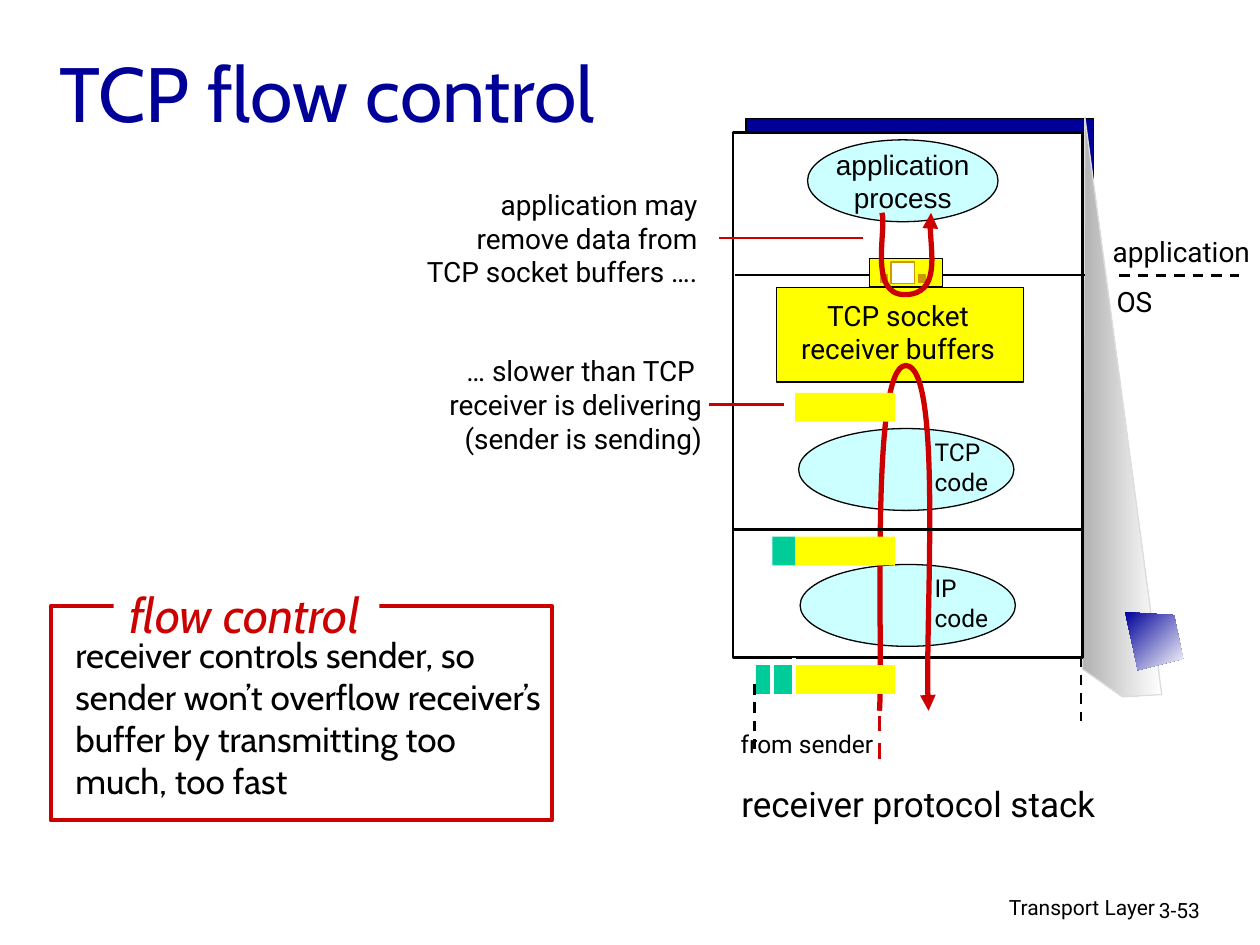
import pptx
import pptx.dml.color
import pptx.enum.dml
import pptx.enum.shapes
import pptx.enum.text
import pptx.oxml
import pptx.oxml.ns
import pptx.util

Cm = pptx.util.Cm
Pt = pptx.util.Pt
RGBColor = pptx.dml.color.RGBColor
RECTANGLE = pptx.enum.shapes.MSO_SHAPE.RECTANGLE
OVAL = pptx.enum.shapes.MSO_SHAPE.OVAL
LEFT = pptx.enum.text.PP_ALIGN.LEFT
CENTER = pptx.enum.text.PP_ALIGN.CENTER
RIGHT = pptx.enum.text.PP_ALIGN.RIGHT

NAVY = RGBColor(0x00, 0x00, 0x99)
RED = RGBColor(0xCC, 0x00, 0x00)
YELLOW = RGBColor(0xFF, 0xFF, 0x00)
GREEN = RGBColor(0x00, 0xCC, 0x99)
CYAN = RGBColor(0xCC, 0xFF, 0xFF)
GOLD = RGBColor(0xCC, 0x99, 0x00)
GREY = RGBColor(0xB2, 0xB2, 0xB2)
PALE_GREY = RGBColor(0xDD, 0xDD, 0xDD)
BLACK = RGBColor(0x00, 0x00, 0x00)
WHITE = RGBColor(0xFF, 0xFF, 0xFF)

TITLE = "TCP flow control"
APPLICATION = (OVAL, (16.28, 2.82, 3.84, 1.65), CYAN, BLACK, 0.75)
BACK_PANEL = (RECTANGLE, (15.04, 2.39, 7.01, 10.72), NAVY, BLACK, 0.75)
STACK = [
    (RECTANGLE, (14.78, 2.67, 7.04, 10.59), WHITE, BLACK, 1.5),
    (RECTANGLE, (15.65, 5.79, 4.98, 1.91), YELLOW, BLACK, 0.75),
    (OVAL, (16.1, 8.64, 4.34, 1.65), CYAN, BLACK, 0.75),
    (OVAL, (16.13, 11.38, 4.34, 1.65), CYAN, BLACK, 0.75),
]
SOCKET_DOOR = [
    (RECTANGLE, (17.53, 5.21, 1.47, 0.58), YELLOW, BLACK, 0.75),
    (RECTANGLE, (17.96, 5.28, 0.48, 0.43), WHITE, GOLD, 0.75),
    (RECTANGLE, (18.52, 5.54, 0.13, 0.15), GOLD, GOLD, 0.75),
    (RECTANGLE, (17.75, 5.54, 0.13, 0.15), GOLD, GOLD, 0.75),
]
CALLOUT = [
    (RECTANGLE, (1.02, 12.22, 10.11, 4.32), WHITE, RED, 2.25),
    (RECTANGLE, (2.29, 11.91, 5.36, 0.99), WHITE, None, 0),
]

PAYLOAD_LEFT, PAYLOAD_WIDTH, PACKET_HEIGHT = 16.03, 2.01, 0.58
PACKETS = [(7.92, 0), (10.82, 0.46), (13.41, 0.79)]

DIVIDERS = [
    ((14.78, 10.67), (21.84, 10.67), BLACK, 1.5, False),
    ((14.81, 5.54), (21.87, 5.54), BLACK, 1.5, False),
]
LINES = [
    ((15.57, 13.41), (15.57, 13.99), WHITE, 2.25, False),
    ((16, 13.26), (16, 13.99), WHITE, 2.25, False),
    ((22.56, 5.56), (24.97, 5.56), BLACK, 1.5, True),
    ((14.5, 4.8), (17.4, 4.8), RED, 1.5, False),
    ((14.3, 8.15), (15.8, 8.15), RED, 1.5, False),
    ((17.73, 14.43), (17.73, 15.39), RED, 2.25, True),
    ((15.21, 13.79), (15.21, 15.09), BLACK, 1.5, True),
    ((21.79, 13.23), (21.79, 14.53), BLACK, 1.5, True),
]

PANEL_SHADOW = [(23.42, 14), (21.87, 2.36), (21.82, 13.49), (22.63, 14.05)]
CUBE = [(22.68, 12.34), (23.67, 12.4), (23.85, 13.28), (22.94, 13.51)]
SENDER_PATH = [(17.73, 14.33), (17.81, 13.16), (17.53, 7.37), (18.26, 7.37),
               (19, 7.37), (18.62, 12.88), (18.72, 14.33)]
READ_PATH = [(17.78, 4.29), (17.88, 4.62), (17.5, 5.94), (18.24, 5.94),
             (18.97, 5.94), (18.69, 4.57), (18.77, 4.29)]

LABELS = [
    (["Transport Layer"], (15.49, 17.91, 8.05, 0.79), 12, RIGHT, True),
    (["3-53"], (23.11, 17.96, 1.88, 0.76), 12, LEFT, True),
    (["TCP socket", "receiver buffers"], (15.77, 5.89, 4.67, 1.63), 16, CENTER, False),
    (["TCP", "code"], (18.59, 8.69, 1.63, 1.45), 14, LEFT, False),
    (["IP", "code"], (18.59, 11.43, 1.63, 1.45), 14, LEFT, False),
    (["application"], (22.1, 4.6, 3.43, 0.94), 16, CENTER, False),
    (["OS"], (22.25, 5.61, 1.24, 0.94), 16, CENTER, False),
    (["receiver protocol stack"], (14.5, 15.65, 8.03, 1.12), 20, CENTER, False),
    (["application may ", "remove data from ", "TCP socket buffers …. "],
     (5.59, 3.66, 8.86, 2.29), 16, RIGHT, True),
    (["… slower than TCP ", "receiver is delivering", "(sender is sending)"],
     (8.61, 7.01, 5.79, 2.97), 16, RIGHT, True),
    (["from sender"], (14.58, 14.58, 3.38, 0.86), 14, CENTER, False),
]
CALLOUT_HEADING = (["flow control"], (2.08, 11.66, 5.69, 1.45), 28, CENTER, False)
CALLOUT_BODY = (["receiver controls sender, so sender won’t overflow receiver’s "
                 "buffer by transmitting too much, too fast"],
                (1.27, 12.65, 9.98, 4.5), 20, LEFT, True)


def write(frame, texts, size, align, font="Roboto", color=BLACK, italic=False):
    frame.text = "\n".join(texts)
    for paragraph in frame.paragraphs:
        paragraph.alignment = align
        paragraph.font.size = Pt(size)
        paragraph.font.name = font
        paragraph.font.color.rgb = color
        paragraph.font.italic = italic


def add_label(slide, texts, box, size, align, wrap, **style):
    frame = slide.shapes.add_textbox(*map(Cm, box)).text_frame
    frame.word_wrap = wrap
    write(frame, texts, size, align, **style)


def outline(line, color, width):
    if color is None:
        line.fill.background()
    else:
        line.color.rgb = color
        line.width = Pt(width)


def add_block(slide, kind, box, fill, line_color, width):
    shape = slide.shapes.add_shape(kind, *map(Cm, box))
    shape.shadow.inherit = False
    shape.fill.solid()
    shape.fill.fore_color.rgb = fill
    outline(shape.line, line_color, width)
    return shape


def add_line(slide, start, end, color, width, dashed):
    connector = slide.shapes.add_connector(
        pptx.enum.shapes.MSO_CONNECTOR.STRAIGHT, *map(Cm, start + end))
    outline(connector.line, color, width)
    if dashed:
        connector.line.dash_style = pptx.enum.dml.MSO_LINE.DASH
    pptx.oxml.ns.qn("a:effectLst")
    connector._element.spPr.append(
        pptx.oxml.parse_xml(f'<a:effectLst {pptx.oxml.ns.nsdecls("a")}/>'))


def add_freeform(slide, points, close):
    corners = [(Cm(x), Cm(y)) for x, y in points]
    builder = slide.shapes.build_freeform(*corners[0])
    builder.add_line_segments(corners[1:], close=close)
    shape = builder.convert_to_shape()
    shape.shadow.inherit = False
    return shape


def add_gradient(slide, points, start_color, angle, line_color):
    shape = add_freeform(slide, points, True)
    shape.fill.gradient()
    shape.fill.gradient_angle = angle
    for stop, color in zip(shape.fill.gradient_stops, (start_color, WHITE)):
        stop.color.rgb = color
    outline(shape.line, line_color, 0.75)


def add_curved_arrow(slide, points):
    shape = add_freeform(slide, points, False)
    shape.fill.background()
    outline(shape.line, RED, 3)
    namespace = pptx.oxml.ns.nsdecls("a")
    segments = list(shape._element.iter(pptx.oxml.ns.qn("a:lnTo")))
    for first in range(0, len(segments), 3):
        curve = pptx.oxml.parse_xml(f"<a:cubicBezTo {namespace}/>")
        segments[first].addprevious(curve)
        for segment in segments[first:first + 3]:
            curve.append(segment[0])
            segment.getparent().remove(segment)
    shape.line._get_or_add_ln().append(
        pptx.oxml.parse_xml(f'<a:tailEnd {namespace} type="triangle"/>'))


def main():
    presentation = pptx.Presentation()
    presentation.slide_width, presentation.slide_height = Cm(25.4), Cm(19.05)
    slide = presentation.slides.add_slide(presentation.slide_layouts[5])

    title = slide.shapes.title
    title.left, title.top, title.width, title.height = map(Cm, (0.94, 0.48, 21.59, 2.72))
    title.text_frame.vertical_anchor = pptx.enum.text.MSO_ANCHOR.MIDDLE
    write(title.text_frame, [TITLE], 44, LEFT, "Cabin", NAVY)

    add_block(slide, *BACK_PANEL)
    add_gradient(slide, PANEL_SHADOW, GREY, 0, PALE_GREY)
    for block in STACK:
        add_block(slide, *block)
    application = add_block(slide, *APPLICATION)
    application.text_frame.word_wrap = False
    write(application.text_frame, ["application", "process"], 16, CENTER, "Arial")

    add_curved_arrow(slide, SENDER_PATH)
    for divider in DIVIDERS:
        add_line(slide, *divider)
    for block in SOCKET_DOOR:
        add_block(slide, *block)
    add_curved_arrow(slide, READ_PATH)

    for top, header in PACKETS:
        for left, width, color in ((PAYLOAD_LEFT - header, header, GREEN),
                                   (PAYLOAD_LEFT, PAYLOAD_WIDTH, YELLOW)):
            if width:
                add_block(slide, RECTANGLE, (left, top, width, PACKET_HEIGHT), color, None, 0)
    for line in LINES:
        add_line(slide, *line)
    for label in LABELS:
        add_label(slide, *label)

    for block in CALLOUT:
        add_block(slide, *block)
    add_label(slide, *CALLOUT_BODY, font="Cabin")
    add_label(slide, *CALLOUT_HEADING, font="Cabin", color=RED, italic=True)
    add_gradient(slide, CUBE, NAVY, 315, None)
    presentation.save("out.pptx")


if __name__ == "__main__":
    main()
